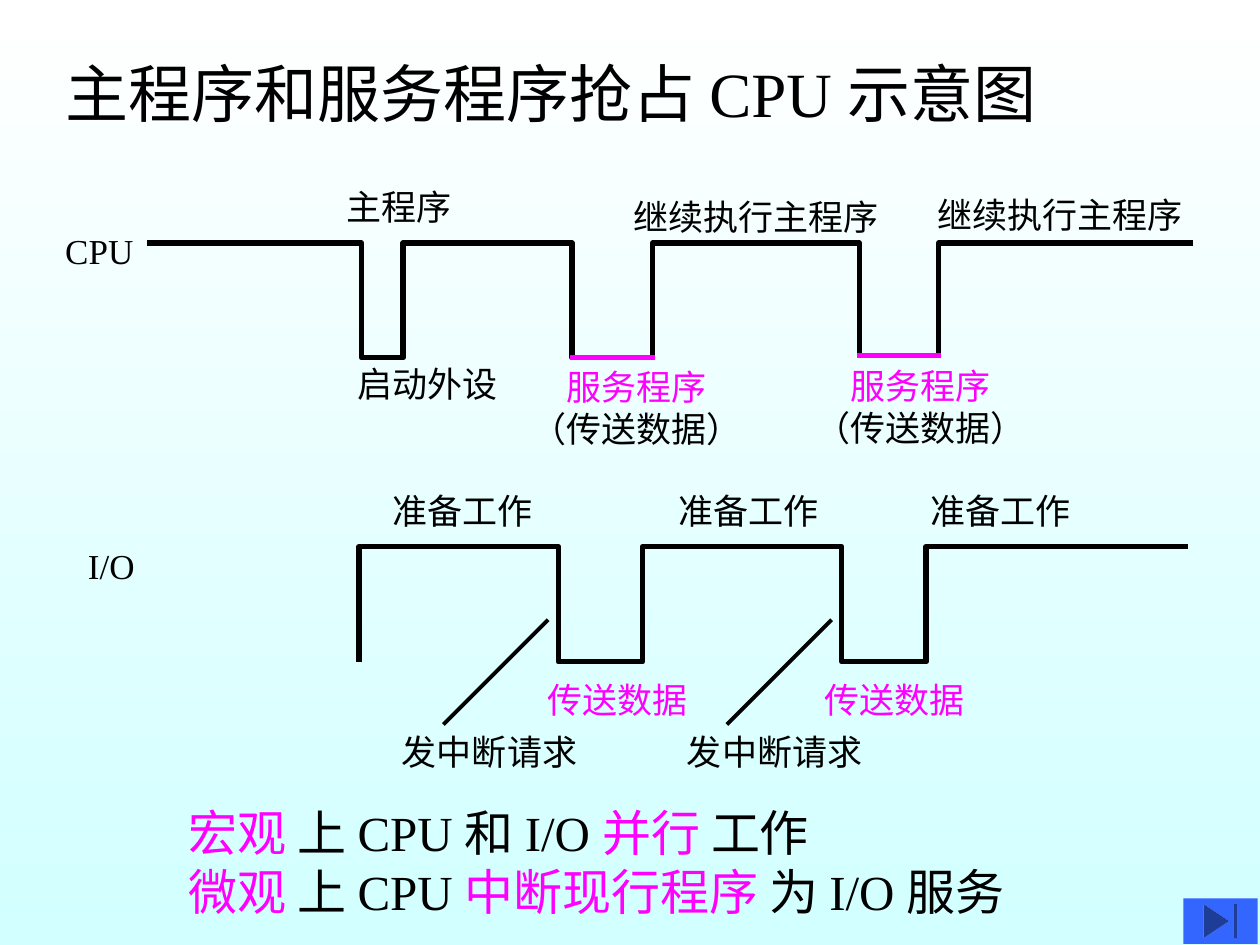
"""Build a slide showing how the main and service programs share the CPU."""
from lxml import etree
from pptx import Presentation
from pptx.dml.color import RGBColor
from pptx.enum.shapes import MSO_CONNECTOR, MSO_SHAPE
from pptx.enum.text import PP_ALIGN
from pptx.oxml.ns import qn
from pptx.util import Pt

BLACK = RGBColor(0, 0, 0)
MAGENTA = RGBColor(0xFF, 0, 0xFF)
WHITE = RGBColor(0xFF, 0xFF, 0xFF)
PALE_CYAN = RGBColor(0xD2, 0xFF, 0xFF)
BUTTON_BLUE = RGBColor(0x33, 0x66, 0xFF)
FONT = "Times New Roman"
STRAIGHT = MSO_CONNECTOR.STRAIGHT
END_BUTTON = MSO_SHAPE.ACTION_BUTTON_END
LEFT, CENTER = PP_ALIGN.LEFT, PP_ALIGN.CENTER

CPU_HIGH, IO_HIGH, IO_LOW = 138.8, 312.3, 378.2
CPU_DIPS = [(206.6, 230.4, 204.5), (326.9, 373, 204.5), (491, 536.4, 203)]
IO_DIPS = [(319, 367.2, IO_LOW), (481, 529.2, IO_LOW)]
IO_START = 205.2

LABELS = [
    ("CPU", 30.2, 127.4, 54, BLACK),
    ("主程序", 190.8, 102.2, 76, BLACK),
    ("继续执行主程序", 355, 108, 156, BLACK),
    ("继续执行主程序", 528.5, 107.3, 156, BLACK),
    ("启动外设", 197.3, 203.8, 96, BLACK),
    ("I/O", 43.2, 307.6, 42, BLACK),
    ("准备工作", 217.4, 276, 96, BLACK),
    ("准备工作", 380.5, 276.3, 96, BLACK),
    ("准备工作", 524.5, 276.3, 96, BLACK),
    ("传送数据", 305.8, 384, 96, MAGENTA),
    ("传送数据", 464.2, 384.3, 96, MAGENTA),
    ("发中断请求", 222.6, 414, 116, BLACK),
    ("发中断请求", 385.5, 414, 116, BLACK),
]


def paint_background(slide):
    """Fill the slide from white at the top to pale cyan at the bottom."""
    fill = slide.background.fill
    fill.gradient()
    fill.gradient_angle = 270
    for stop, position, color in zip(fill.gradient_stops, (0, 1), (WHITE, PALE_CYAN)):
        stop.position = position
        stop.color.rgb = color


def add_text(slide, box, lines, size, wrap=False, align=LEFT):
    """Add a text box whose lines are lists of (text, color) runs."""
    frame = slide.shapes.add_textbox(*map(Pt, box)).text_frame
    frame.word_wrap = wrap
    for index, line in enumerate(lines):
        paragraph = frame.add_paragraph() if index else frame.paragraphs[0]
        paragraph.alignment = align
        paragraph.font.size = Pt(size)
        paragraph.font.name = FONT
        for text, color in line:
            run = paragraph.add_run()
            run.text = text
            run.font.color.rgb = color


def add_wave(slide, start, dips, end, high):
    """Draw a square wave that falls from high at every dip."""
    points = list(start)
    for left, right, low in dips:
        points += [(left, high), (left, low), (right, low), (right, high)]
    points.append((end, high))
    corners = [(Pt(x), Pt(y)) for x, y in points]
    builder = slide.shapes.build_freeform(*corners[0])
    builder.add_line_segments(corners[1:], close=False)
    wave = builder.convert_to_shape()
    wave.shadow.inherit = False
    wave.fill.background()
    wave.line.color.rgb = BLACK
    wave.line.width = Pt(3)


def add_line(slide, ends, color, width):
    """Draw a straight line without shadow."""
    line = slide.shapes.add_connector(STRAIGHT, *map(Pt, ends))
    line.line.color.rgb = color
    line.line.width = Pt(width)
    etree.SubElement(line._element.spPr, qn("a:effectLst"))


def add_end_button(slide):
    """Add the button in the lower right corner."""
    button = slide.shapes.add_shape(END_BUTTON, Pt(676.3), Pt(513.4), Pt(42.4), Pt(25.9))
    button.shadow.inherit = False
    button.fill.solid()
    button.fill.fore_color.rgb = BUTTON_BLUE
    button.line.fill.background()


def main():
    """Build and save the slide."""
    deck = Presentation()
    deck.slide_width, deck.slide_height = Pt(720), Pt(540)
    slide = deck.slides.add_slide(deck.slide_layouts[6])
    paint_background(slide)
    add_text(slide, (30.2, 27.4, 585.2, 93.6),
             [[("主程序和服务程序抢占 CPU 示意图", BLACK)]], 36, wrap=True)

    add_wave(slide, [(IO_START, IO_LOW), (IO_START, IO_HIGH)], IO_DIPS, 679, IO_HIGH)
    add_wave(slide, [(84.2, CPU_HIGH)], CPU_DIPS, 681.8, CPU_HIGH)
    for left, right, low in CPU_DIPS[1:]:
        add_line(slide, (left - 1.2, low, right + 1.2, low), MAGENTA, 3)
    for request_left in (253.4, 415.4):
        add_line(slide, (request_left, 414, request_left + 59.8, 354.2), BLACK, 2.25)

    for text, left, top, width, color in LABELS:
        add_text(slide, (left, top, width, 31.7), [[(text, color)]], 20)
    for left, top in ((296.6, 205.2), (458.6, 204.5)):
        add_text(slide, (left, top, 134.6, 55.4),
                 [[("服务程序", MAGENTA)], [("（传送数据）", BLACK)]], 20, align=CENTER)

    add_text(slide, (100.8, 455, 577.4, 74.9), [
        [("宏观 ", MAGENTA), ("上 CPU 和 I/O ", BLACK), ("并行 ", MAGENTA), ("工作", BLACK)],
        [("微观 ", MAGENTA), ("上 CPU ", BLACK), ("中断现行程序 ", MAGENTA),
         ("为 I/O 服务", BLACK)],
    ], 28, wrap=True)
    add_end_button(slide)
    deck.save("out.pptx")


if __name__ == "__main__":
    main()
